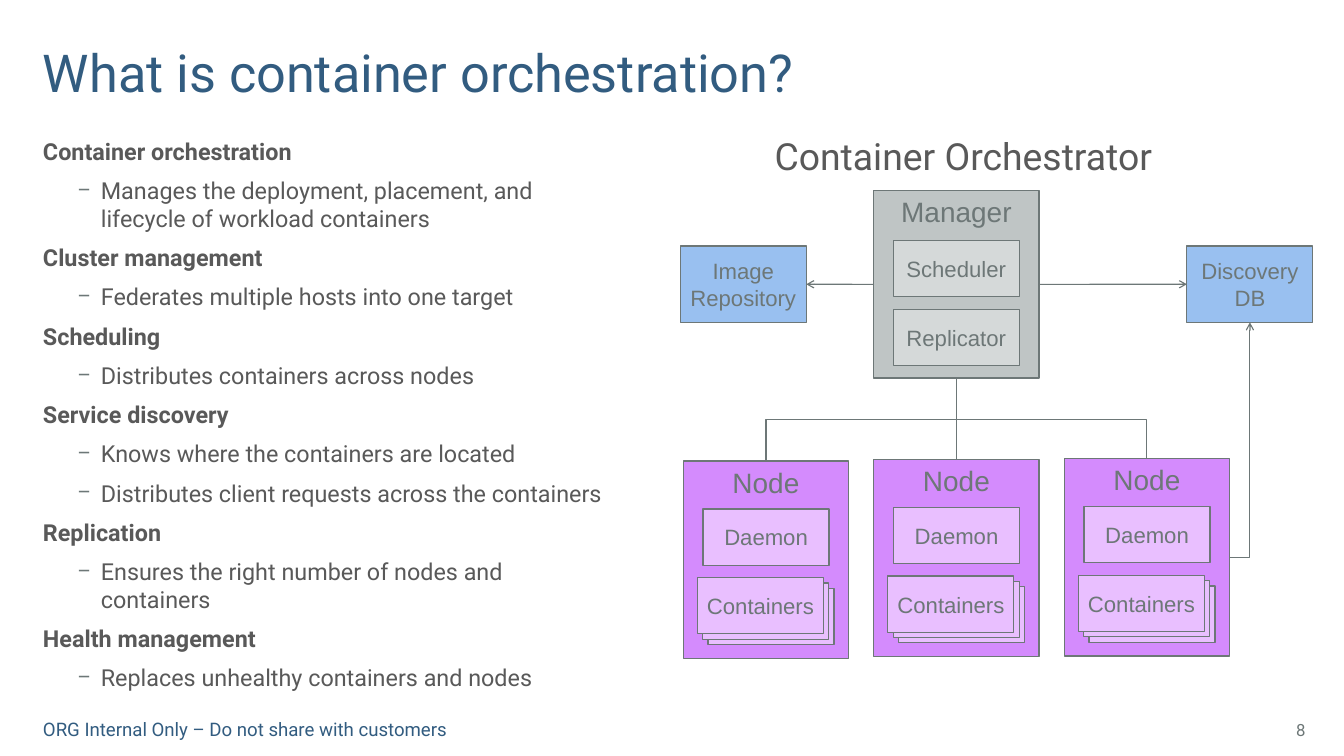
from lxml import etree
from pptx import Presentation
from pptx.dml.color import RGBColor
from pptx.enum.shapes import MSO_CONNECTOR, MSO_SHAPE
from pptx.enum.text import MSO_ANCHOR, MSO_AUTO_SIZE, PP_ALIGN
from pptx.oxml.ns import qn
from pptx.util import Cm, Pt

LEFT, CENTER, RIGHT = PP_ALIGN.LEFT, PP_ALIGN.CENTER, PP_ALIGN.RIGHT
TOP, MIDDLE, BOTTOM = MSO_ANCHOR.TOP, MSO_ANCHOR.MIDDLE, MSO_ANCHOR.BOTTOM
STRAIGHT, ELBOW = MSO_CONNECTOR.STRAIGHT, MSO_CONNECTOR.ELBOW
RECTANGLE, NO_AUTOFIT = MSO_SHAPE.RECTANGLE, MSO_AUTO_SIZE.NONE
SITE_TOP, SITE_LEFT, SITE_BOTTOM, SITE_RIGHT = range(4)

# Content
TITLE = "What is container orchestration?"
TOPICS = [
    ("Container orchestration",
     ["Manages the deployment, placement, and lifecycle of workload containers"]),
    ("Cluster management", ["Federates multiple hosts into one target"]),
    ("Scheduling", ["Distributes containers across nodes"]),
    ("Service discovery",
     ["Knows where the containers are located",
      "Distributes client requests across the containers"]),
    ("Replication", ["Ensures the right number of nodes and containers"]),
    ("Health management", ["Replaces unhealthy containers and nodes"]),
]
DIAGRAM_TITLE = "Container Orchestrator"
MANAGER_PARTS = ["Scheduler", "Replicator"]
FOOTER = "ORG Internal Only – Do not share with customers"
PAGE = "8"

COLORS = {
    "heading": "325C80", "body": "595959", "gray": "6D7777",
    "manager": "BFC5C5", "manager part": "D5D9D9",
    "node": "D48BFD", "node part": "E9BFFF", "store": "99C0F0",
}

# Diagram measures in cm
BLOCK_W, MANAGER_H, NODE_H = 5.0, 5.66, 5.97
PART_W, PART_H, STORE_H = 3.81, 1.7, 2.31
MANAGER_X, MANAGER_Y = 26.42, 5.77
NODE_PITCH, NODE_TOPS = 5.76, [13.94, 13.89, 13.87]
STORE_Y, BUS_Y = 7.44, 12.68
STACK_STEP, STACK_COUNT = 0.16, 3

deck = Presentation()
deck.slide_width, deck.slide_height = Cm(40.64), Cm(22.86)
slide = deck.slides.add_slide(deck.slide_layouts.get_by_name("Two Content"))


def color(name):
    return RGBColor.from_string(COLORS[name])


def style(paragraph, size, ink, font="Roboto", align=LEFT, bold=False):
    paragraph.alignment = align
    for run in paragraph.runs:
        run.font.size, run.font.name, run.font.bold = Pt(size), font, bold
        run.font.color.rgb = color(ink)


def place(holder, x, y, w, h, anchor=TOP, inset_bottom=0.13):
    holder.left, holder.top, holder.width, holder.height = Cm(x), Cm(y), Cm(w), Cm(h)
    frame = holder.text_frame
    frame.word_wrap, frame.auto_size, frame.vertical_anchor = True, NO_AUTOFIT, anchor
    frame.margin_left, frame.margin_right = 0, Cm(0.25)
    frame.margin_top, frame.margin_bottom = Cm(0.13), Cm(inset_bottom)
    return frame


def set_bullet(paragraph, char=None):
    props = paragraph._p.get_or_add_pPr()
    props.set("marL", str(Cm(1.75) if char else 0))
    props.set("indent", str(Cm(-0.71) if char else 0))
    if not char:
        etree.SubElement(props, qn("a:buNone"))
        return
    tint = etree.SubElement(props, qn("a:buClr"))
    etree.SubElement(tint, qn("a:srgbClr"), val=COLORS["gray"])
    etree.SubElement(props, qn("a:buSzPct"), val="90000")
    etree.SubElement(props, qn("a:buFont"), typeface="Roboto")
    etree.SubElement(props, qn("a:buChar"), char=char)


def add_box(x, y, w, h, fill, text="", size=19, anchor=MIDDLE, wrap=False):
    box = slide.shapes.add_shape(RECTANGLE, Cm(x), Cm(y), Cm(w), Cm(h))
    box.shadow.inherit = False
    box.fill.solid()
    box.fill.fore_color.rgb = color(fill)
    box.line.color.rgb = color("gray")
    box.line.width = Pt(1)
    frame = box.text_frame
    frame.word_wrap, frame.vertical_anchor = wrap, anchor
    if text:
        frame.text = text
        style(frame.paragraphs[0], size, "gray", "Arial", CENTER)
    return box


def add_link(start, start_site, end, end_site, kind=STRAIGHT, arrow=False):
    link = slide.shapes.add_connector(kind, 0, 0, 0, 0)
    link.begin_connect(start, start_site)
    link.end_connect(end, end_site)
    link.line.color.rgb = color("gray")
    link.line.width = Pt(1)
    if arrow:
        etree.SubElement(link.line._get_or_add_ln(), qn("a:tailEnd"), type="arrow")
    etree.SubElement(link._element.spPr, qn("a:effectLst"))
    return link


def add_branch(start, end):
    """Elbow that leaves downwards, runs along the bus and drops onto end."""
    link = add_link(start, SITE_BOTTOM, end, SITE_TOP, ELBOW)
    x0, y0, x1, y1 = link.begin_x, link.begin_y, link.end_x, link.end_y
    rightward = x1 > x0
    link.width, link.height = y1 - y0, abs(x1 - x0)
    link.left = (x0 + x1 - link.width) // 2
    link.top = (y0 + y1 - link.height) // 2
    xfrm = link._element.spPr.find(qn("a:xfrm"))
    xfrm.set("rot", "16200000" if rightward else "5400000")
    xfrm.set("flipH", "1" if rightward else "0")
    guides = link._element.spPr.find(qn("a:prstGeom")).get_or_add_avLst()
    bend = round((Cm(BUS_Y) - y0) / (y1 - y0) * 100000)
    etree.SubElement(guides, qn("a:gd"), name="adj1", fmla=f"val {bend}")


# Title and topic list
title, topics, diagram_title = slide.placeholders
title_frame = place(title, 1.3, 0.2, 36.3, 2.92, BOTTOM, 0)
title_frame.text = TITLE
title_frame.paragraphs[0].line_spacing = 0.85
style(title_frame.paragraphs[0], 44.8, "heading")

topic_frame = place(topics, 1.3, 4.01, 17.2, 16.94)
lines = [(text, level) for topic, details in TOPICS
         for text, level in [(topic, 0)] + [(detail, 1) for detail in details]]
topic_frame.text = "\n".join(text for text, level in lines)
for paragraph, (text, level) in zip(topic_frame.paragraphs, lines):
    paragraph.level, paragraph.space_before = level, Pt(9.6)
    style(paragraph, 20, "body", bold=level == 0)
    set_bullet(paragraph, "–" if level else None)

diagram_frame = place(diagram_title, 21.64, 3.91, 15.24, 1.52)
diagram_frame.text = DIAGRAM_TITLE
diagram_frame.paragraphs[0].space_before = Pt(9.6)
style(diagram_frame.paragraphs[0], 32, "body", align=CENTER)
set_bullet(diagram_frame.paragraphs[0])

# Footer and page number
for text, x, y, w, h, size, ink, align in [
        (FOOTER, 1.3, 21.69, 12.88, 0.69, 16, "heading", LEFT),
        (PAGE, 37.95, 21.46, 1.78, 1.22, 14.4, "gray", RIGHT)]:
    note = slide.shapes.add_textbox(0, 0, 0, 0)
    note_frame = place(note, x, y, w, h, MIDDLE)
    note_frame.margin_top = note_frame.margin_bottom = 0
    note_frame.text = text
    style(note_frame.paragraphs[0], size, ink, align=align)

# Manager
manager = add_box(MANAGER_X, MANAGER_Y, BLOCK_W, MANAGER_H, "manager", "Manager", 24, TOP)
for row, part in enumerate(MANAGER_PARTS):
    add_box(MANAGER_X + 0.59, MANAGER_Y + 1.5 + row * 2.08, PART_W, PART_H,
            "manager part", part)

# Nodes, each with a daemon and a stack of containers
nodes = []
for column, y in enumerate(NODE_TOPS):
    x = MANAGER_X + (column - 1) * NODE_PITCH
    nodes.append(add_box(x, y, BLOCK_W, NODE_H, "node", "Node", 24, TOP))
    add_box(x + 0.6, y + 1.45, PART_W, PART_H, "node part", "Daemon")
    for depth in reversed(range(STACK_COUNT)):
        shift = depth * STACK_STEP
        add_box(x + 0.43 + shift, y + 3.53 + shift, PART_W, PART_H,
                "node part", "" if depth else "Containers")

# Stores
repository = add_box(20.57, STORE_Y, PART_W, STORE_H, "store", "Image Repository", wrap=True)
repository.text_frame.margin_left = repository.text_frame.margin_right = 0
discovery = add_box(35.89, STORE_Y, PART_W, STORE_H, "store", "Discovery DB", wrap=True)

# Links
left_node, middle_node, right_node = nodes
add_branch(manager, right_node)
add_branch(manager, left_node)
add_link(manager, SITE_BOTTOM, middle_node, SITE_TOP)
add_link(manager, SITE_RIGHT, discovery, SITE_LEFT, arrow=True)
add_link(manager, SITE_LEFT, repository, SITE_RIGHT, arrow=True)
report = add_link(right_node, SITE_RIGHT, discovery, SITE_BOTTOM, ELBOW, arrow=True)
report._element.spPr.find(qn("a:prstGeom")).set("prst", "bentConnector2")

deck.save("out.pptx")
